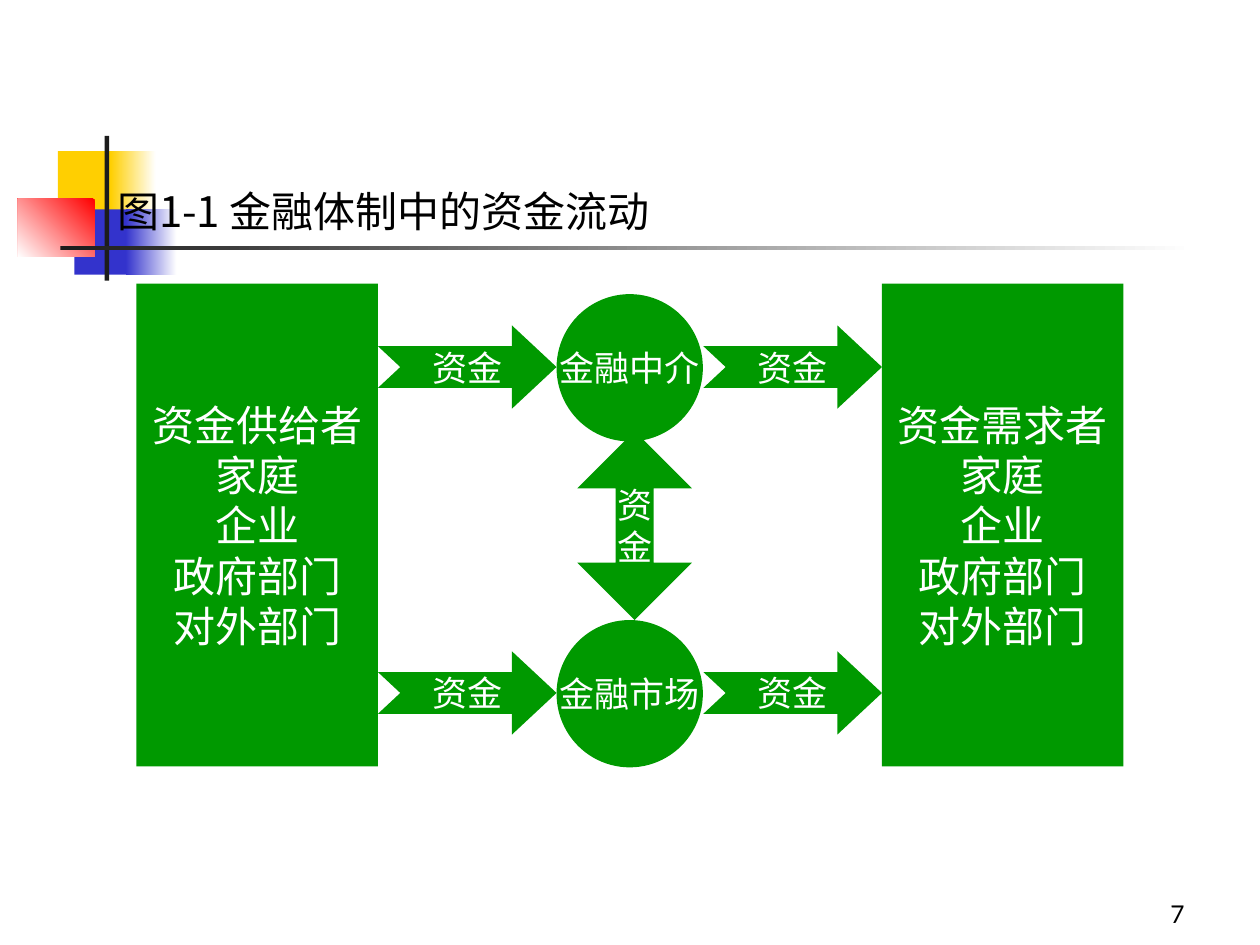
import dataclasses

import lxml.etree
import pptx
import pptx.dml.color
import pptx.enum.shapes
import pptx.enum.text
import pptx.oxml.ns
import pptx.util

Cm = pptx.util.Cm
Shape = pptx.enum.shapes.MSO_SHAPE
Align = pptx.enum.text.PP_ALIGN
Anchor = pptx.enum.text.MSO_ANCHOR


@dataclasses.dataclass(frozen=True)
class Theme:
    green: str = "009900"
    yellow: str = "FFCF01"
    blue: str = "3333CC"
    red: str = "FF0000"
    dark: str = "1C1C1C"
    white: str = "FFFFFF"
    black: str = "000000"
    body_font: str = "Lato"
    title_font: str = "Noto Sans CJK SC"
    large: int = 24
    medium: int = 20
    small: int = 14


def rgb(color):
    return pptx.dml.color.RGBColor.from_string(color)


class FlowSlide:
    def __init__(self, slide, theme):
        self.slide = slide
        self.theme = theme

    def set_text(self, shape, lines, size, color, font, align, anchor):
        frame = shape.text_frame
        frame.text = "\n".join(lines)
        frame.vertical_anchor = anchor
        for para in frame.paragraphs:
            para.alignment = align
            for span in para.runs:
                span.font.size = pptx.util.Pt(size)
                span.font.name = font
                span.font.color.rgb = rgb(color)
                east_asian = lxml.etree.SubElement(
                    span.font._element, pptx.oxml.ns.qn("a:ea"))
                east_asian.set("typeface", self.theme.body_font)

    def plain(self, shape, color):
        shape.shadow.inherit = False
        shape.fill.solid()
        shape.fill.fore_color.rgb = rgb(color)
        shape.line.fill.background()
        return shape

    def block(self, kind, left, top, width, height, color):
        shape = self.slide.shapes.add_shape(
            kind, Cm(left), Cm(top), Cm(width), Cm(height))
        return self.plain(shape, color)

    def fade(self, left, top, width, height, color, angle=0):
        shape = self.block(Shape.RECTANGLE, left, top, width, height, color)
        shape.fill.gradient()
        shape.fill.gradient_angle = angle
        stops = zip(shape.fill.gradient_stops, (color, self.theme.white), (0, 1))
        for stop, stop_color, position in stops:
            stop.color.rgb = rgb(stop_color)
            stop.position = position

    def label(self, shape, lines, size):
        self.set_text(shape, lines, size, self.theme.white, self.theme.body_font,
                      Align.CENTER, Anchor.MIDDLE)
        shape.text_frame.word_wrap = False

    def node(self, kind, left, top, width, height, lines, size):
        shape = self.block(kind, left, top, width, height, self.theme.green)
        self.label(shape, lines, size)
        return shape

    def notched_arrow(self, left, top, width, height, text):
        outline = [(0, 0.25), (0.75, 0.25), (0.75, 0), (1, 0.5),
                   (0.75, 1), (0.75, 0.75), (0, 0.75), (0.125, 0.5)]
        points = [(Cm(left + x * width), Cm(top + y * height)) for x, y in outline]
        builder = self.slide.shapes.build_freeform(*points[0])
        builder.add_line_segments(points[1:], close=True)
        arrow = self.plain(builder.convert_to_shape(), self.theme.green)
        self.label(arrow, [text], self.theme.medium)

    def text(self, left, top, width, height, text, size, font, align, anchor):
        box = self.slide.shapes.add_textbox(
            Cm(left), Cm(top), Cm(width), Cm(height))
        self.set_text(box, [text], size, self.theme.black, font, align, anchor)
        box.text_frame.word_wrap = True


def main():
    deck = pptx.Presentation()
    deck.slide_width, deck.slide_height = Cm(25.4), Cm(19.05)
    theme = Theme()
    page = FlowSlide(deck.slides.add_slide(deck.slide_layouts[6]), theme)

    page.block(Shape.RECTANGLE, 1.17, 3.05, 1.22, 1.32, theme.yellow)
    page.fade(2.23, 3.05, 0.91, 1.32, theme.yellow)
    page.block(Shape.RECTANGLE, 1.5, 4.22, 1.17, 1.32, theme.blue)
    page.fade(2.54, 4.22, 1.02, 1.32, theme.blue)
    page.fade(0.36, 4.01, 1.55, 1.17, theme.red, angle=225)
    page.block(Shape.RECTANGLE, 2.11, 2.74, 0.09, 2.92, theme.dark)
    page.fade(1.22, 4.95, 22.86, 0.09, theme.dark)

    sectors = ["家庭", "企业", "政府部门", "对外部门"]
    for left, role in ((2.75, "资金供给者"), (17.78, "资金需求者")):
        page.node(Shape.RECTANGLE, left, 5.72, 4.87, 9.73,
                  [role] + sectors, theme.large)

    row_pitch = 6.57
    for row, channel in enumerate(("金融中介", "金融市场")):
        offset = row * row_pitch
        page.node(Shape.OVAL, 11.22, 5.93 + offset, 2.95, 2.97,
                  [channel], theme.medium)
        for left in (7.62, 14.18):
            page.notched_arrow(left, 6.56 + offset, 3.6, 1.68, "资金")

    exchange = page.node(Shape.UP_DOWN_ARROW, 11.64, 8.69, 2.31, 3.81,
                         ["资", "金"], theme.medium)
    exchange.adjustments[0] = 0.5
    exchange.adjustments[1] = 0.33

    page.text(2.11, 3.61, 18.42, 1.27, "图1-1 金融体制中的资金流动",
              theme.large, theme.title_font, Align.LEFT, Anchor.TOP)
    page.text(18.85, 17.58, 5.28, 1.27, "7",
              theme.small, theme.body_font, Align.RIGHT, Anchor.BOTTOM)

    deck.save("out.pptx")


if __name__ == "__main__":
    main()
